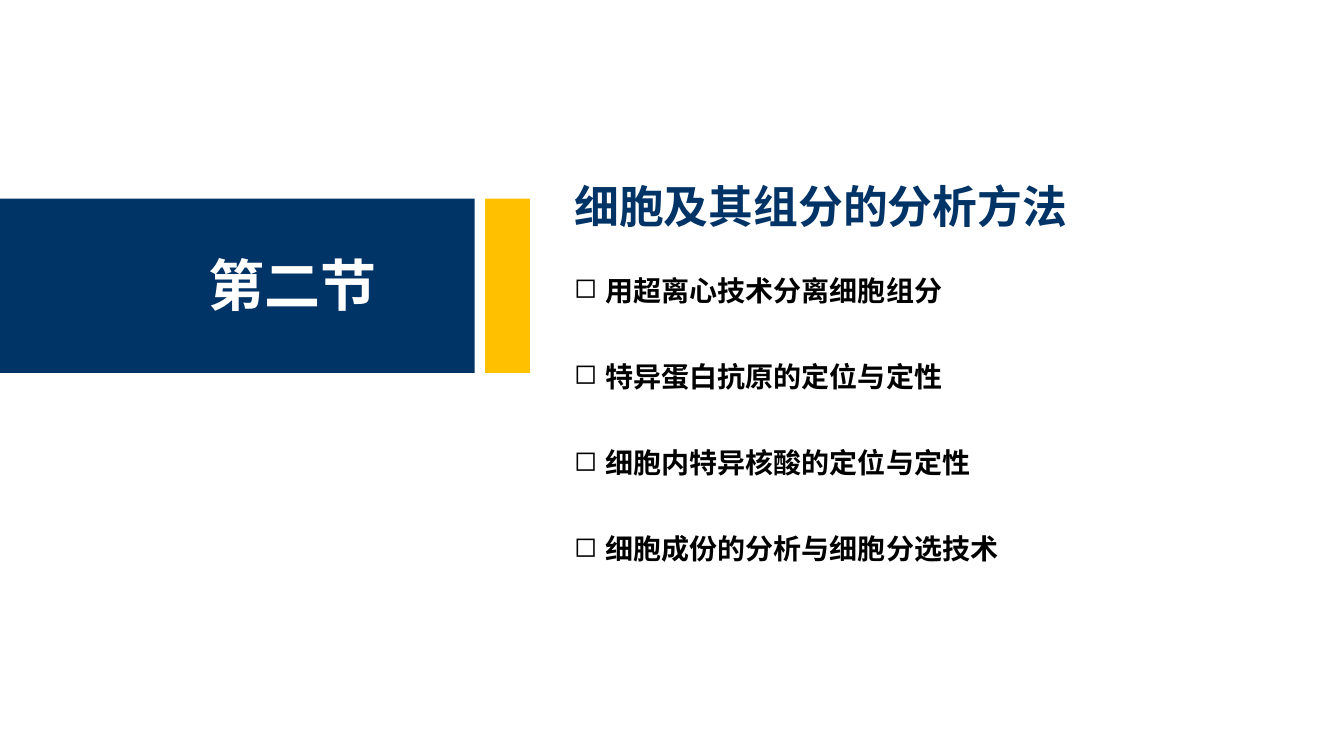
import pptx
import pptx.dml.color
import pptx.enum.shapes
import pptx.enum.text
import pptx.oxml
import pptx.oxml.ns
import pptx.util

Pt = pptx.util.Pt
RGB = pptx.dml.color.RGBColor
NAVY = RGB(0x00, 0x33, 0x66)
GOLD = RGB(0xFF, 0xC0, 0x00)
WHITE = RGB(0xFF, 0xFF, 0xFF)
BLACK = RGB(0x00, 0x00, 0x00)

TOPICS = [
    "用超离心技术分离细胞组分",
    "特异蛋白抗原的定位与定性",
    "细胞内特异核酸的定位与定性",
    "细胞成份的分析与细胞分选技术",
]


class Page:
    face = "Noto Sans CJK SC"

    def __init__(self, deck):
        self.slide = deck.slides.add_slide(deck.slide_layouts[5])

    def block(self, left, top, width, height, color):
        rect = self.slide.shapes.add_shape(
            pptx.enum.shapes.MSO_SHAPE.RECTANGLE,
            Pt(left), Pt(top), Pt(width), Pt(height))
        rect.shadow.inherit = False
        rect.fill.solid()
        rect.fill.fore_color.rgb = color
        rect.line.fill.background()

    def style(self, shape, text, size, color, mark=None):
        frame = shape.text_frame
        frame.word_wrap = True
        frame.auto_size = pptx.enum.text.MSO_AUTO_SIZE.NONE
        frame.vertical_anchor = pptx.enum.text.MSO_ANCHOR.MIDDLE
        para = frame.paragraphs[0]
        para.text = text
        para.alignment = pptx.enum.text.PP_ALIGN.LEFT
        if mark:
            self.bullet(para, mark)
        font = para.font
        font.name = self.face
        font.size = Pt(size)
        font.bold = True
        font.color.rgb = color
        # East Asian typeface
        base = para._p.pPr.find(pptx.oxml.ns.qn("a:defRPr"))
        asian = pptx.oxml.parse_xml(
            f'<a:ea {pptx.oxml.ns.nsdecls("a")} typeface="{self.face}"/>')
        base.append(asian)

    def bullet(self, para, mark):
        props = para._p.get_or_add_pPr()
        props.set("marL", str(Pt(22.5)))
        props.set("indent", str(-Pt(22.5)))
        props.append(pptx.oxml.parse_xml(
            f'<a:buChar {pptx.oxml.ns.nsdecls("a")} char="{mark}"/>'))

    def title(self, left, top, width, height, text, size, color):
        head = self.slide.shapes.title
        head.left, head.top = Pt(left), Pt(top)
        head.width, head.height = Pt(width), Pt(height)
        self.style(head, text, size, color)

    def label(self, left, top, width, height, text, size, color, mark=None):
        box = self.slide.shapes.add_textbox(
            Pt(left), Pt(top), Pt(width), Pt(height))
        self.style(box, text, size, color, mark)


def main():
    deck = pptx.Presentation()
    deck.slide_width, deck.slide_height = Pt(960), Pt(540)
    page = Page(deck)

    # Section banner
    page.block(0, 142, 339, 124.5, NAVY)
    page.block(346.5, 142, 32, 124.5, GOLD)
    page.label(142, 175, 138, 55.5, "第二节", 40, WHITE)

    # Heading and topics
    page.title(403, 124, 403, 46, "细胞及其组分的分析方法", 32, NAVY)
    for row, topic in enumerate(TOPICS):
        page.label(403, 191.5 + 61.5 * row, 332, 31.5, topic, 20, BLACK, "◻")

    deck.save("out.pptx")


if __name__ == "__main__":
    main()
